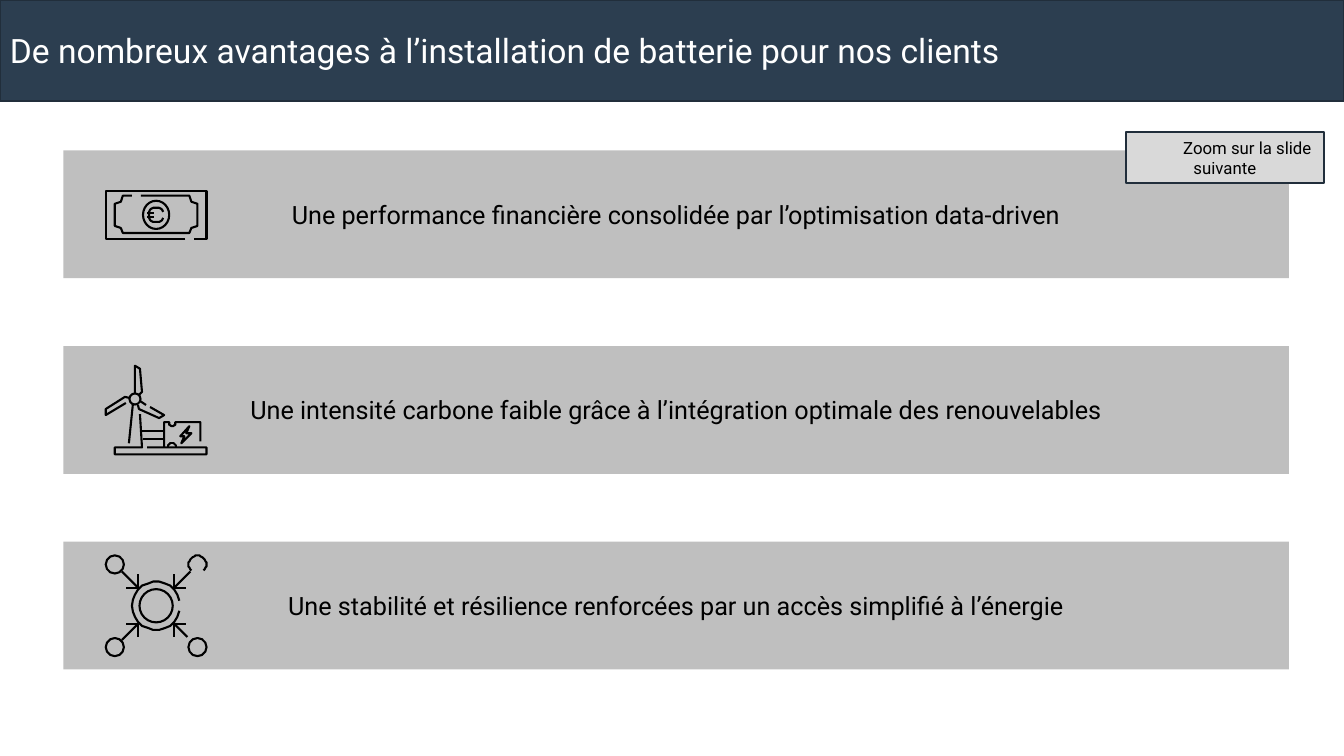
import math

from pptx import Presentation
from pptx import util as u
from pptx.dml.color import RGBColor
from pptx.enum import shapes, text

FONT = "Roboto"
NAVY, EDGE, BLACK, WHITE = "2C3E50", "212E3B", "000000", "FFFFFF"
BAND_GREY, BADGE_GREY = "BFBFBF", "D9D9D9"
ICON_UNIT = u.Cm(0.0254)
ICON_LEFT = 2.64

# Three benefits, each with the top of its icon in cm
BENEFITS = [
    ("Une performance financière consolidée par l’optimisation data-driven", 4.78),
    ("Une intensité carbone faible grâce à l’intégration optimale des renouvelables", 9.19),
    ("Une stabilité et résilience renforcées par un accès simplifié à l’énergie", 13.97),
]


def rgb(hex_colour):
    return RGBColor.from_string(hex_colour)


def set_outline(shape, colour):
    shape.line.color.rgb = rgb(colour)
    shape.line.width = u.Pt(1.5)


def add_box(slide, left, top, width, height, fill, wording, size,
            colour=BLACK, align=text.PP_ALIGN.CENTER, edge=None):
    """Filled rectangle with one paragraph; lengths in cm."""
    box = slide.shapes.add_shape(shapes.MSO_SHAPE.RECTANGLE,
                                 u.Cm(left), u.Cm(top), u.Cm(width), u.Cm(height))
    box.shadow.inherit = False
    box.fill.solid()
    box.fill.fore_color.rgb = rgb(fill)
    if edge:
        set_outline(box, edge)
    else:
        box.line.fill.background()
    frame = box.text_frame
    frame.word_wrap = True
    frame.vertical_anchor = text.MSO_ANCHOR.MIDDLE
    frame.text = wording
    paragraph = frame.paragraphs[0]
    paragraph.alignment = align
    font = paragraph.runs[0].font
    font.name, font.size, font.color.rgb = FONT, u.Pt(size), rgb(colour)
    return box


def arc(cx, cy, radius, start, end):
    """Points along an arc, angles in degrees, clockwise from the right."""
    steps = 24
    angles = [math.radians(start + (end - start) * i / steps) for i in range(steps + 1)]
    return [(cx + radius * math.cos(a), cy + radius * math.sin(a)) for a in angles]


def add_icon(slide, top, strokes, circles):
    """Line icon: strokes are point lists, circles are (cx, cy, rx, ry)."""
    left, top = u.Cm(ICON_LEFT), u.Cm(top)
    builder = slide.shapes.build_freeform(*strokes[0][0], scale=ICON_UNIT)
    builder.add_line_segments(strokes[0][1:], close=False)
    for stroke in strokes[1:]:
        builder.move_to(*stroke[0])
        builder.add_line_segments(stroke[1:], close=False)
    parts = [builder.convert_to_shape(left, top)]
    for cx, cy, rx, ry in circles:
        parts.append(slide.shapes.add_shape(
            shapes.MSO_SHAPE.OVAL,
            left + round((cx - rx) * ICON_UNIT), top + round((cy - ry) * ICON_UNIT),
            round(2 * rx * ICON_UNIT), round(2 * ry * ICON_UNIT)))
    for part in parts:
        part.shadow.inherit = False
        part.fill.background()
        set_outline(part, BLACK)


def add_banknote(slide, top):
    strokes = [
        [(80, 49), (1, 49), (1, 1), (101, 1), (101, 49), (89, 49)],
        [(27, 6), (18, 6), (16, 12), (10, 14), (10, 36), (16, 38), (18, 43), (84, 43),
         (86, 38), (92, 36), (92, 14), (86, 12), (84, 6), (36, 6)],
        # Euro sign
        arc(51, 25, 7.5, 335, 25),
        [(42, 23), (49, 23)],
        [(42, 27), (49, 27)],
    ]
    add_icon(slide, top, strokes, [(51, 25, 13, 14)])


def add_wind_turbine(slide, top):
    strokes = [
        # Blades and mast
        [(21, 38), (1, 50), (1, 44), (20, 32), (25, 33)],
        [(30, 28), (30, 1), (35, 4), (37, 27), (34, 30)],
        [(33, 40), (34, 44), (54, 53), (59, 50), (45, 42)],
        [(35, 36), (41, 40)],
        [(28, 39), (24, 78)],
        # Base
        [(35, 49), (37, 82), (10, 82), (10, 89), (101, 89), (101, 82), (42, 82)],
        # Cables and battery
        [(37, 66), (59, 66)],
        [(38, 74), (59, 74)],
        [(59, 82), (59, 57), (64, 57), *arc(67, 58, 3, 180, 0), (70, 57), (95, 57), (95, 76)],
        arc(67, 82, 4, 180, 360),
        [(84, 61), (75, 71), (79, 71), (76, 78), (86, 68), (81, 68), (84, 61)],
    ]
    add_icon(slide, top, strokes, [(30, 34, 5.5, 5.5)])


def add_energy_hub(slide, top):
    centre = 51
    strokes = [arc(centre, centre, 24, 13, 347), arc(92, 10, 9, 135, 405)]
    circles = [(centre, centre, 16.5, 16.5)]
    for sx in (-1, 1):
        for sy in (-1, 1):
            # The lower right arrow stays clear of its node
            reach = 31 if sx == sy == 1 else 34
            arrow = [[(reach, reach), (18, 18)], [(18, 31), (18, 18), (30, 18)]]
            strokes += [[(centre + sx * x, centre + sy * y) for x, y in line]
                        for line in arrow]
            if (sx, sy) != (1, -1):
                circles.append((centre + sx * 41, centre + sy * 41, 9, 9))
    add_icon(slide, top, strokes, circles)


def main():
    deck = Presentation()
    deck.slide_width, deck.slide_height = u.Cm(33.87), u.Cm(19.05)
    slide = deck.slides.add_slide(deck.slide_layouts[6])

    # Title bar
    add_box(slide, 0, 0, 33.87, 2.54, NAVY,
            "De nombreux avantages à l’installation de batterie pour nos clients",
            24, WHITE, text.PP_ALIGN.LEFT, EDGE)

    # Benefit bands
    icons = [add_banknote, add_wind_turbine, add_energy_hub]
    for row, ((benefit, icon_top), add_benefit_icon) in enumerate(zip(BENEFITS, icons)):
        add_box(slide, 1.6, 3.79 + row * 4.93, 30.88, 3.22, BAND_GREY, benefit, 18)
        add_benefit_icon(slide, icon_top)

    # Zoom badge, first line indented
    badge = add_box(slide, 28.37, 3.33, 5, 1.28, BADGE_GREY,
                    "Zoom sur la slide suivante", 12, edge=EDGE)
    badge_format = badge.text_frame.paragraphs[0]._p.get_or_add_pPr()
    badge_format.set("indent", str(u.Cm(1.13)))

    deck.save("out.pptx")


if __name__ == "__main__":
    main()
